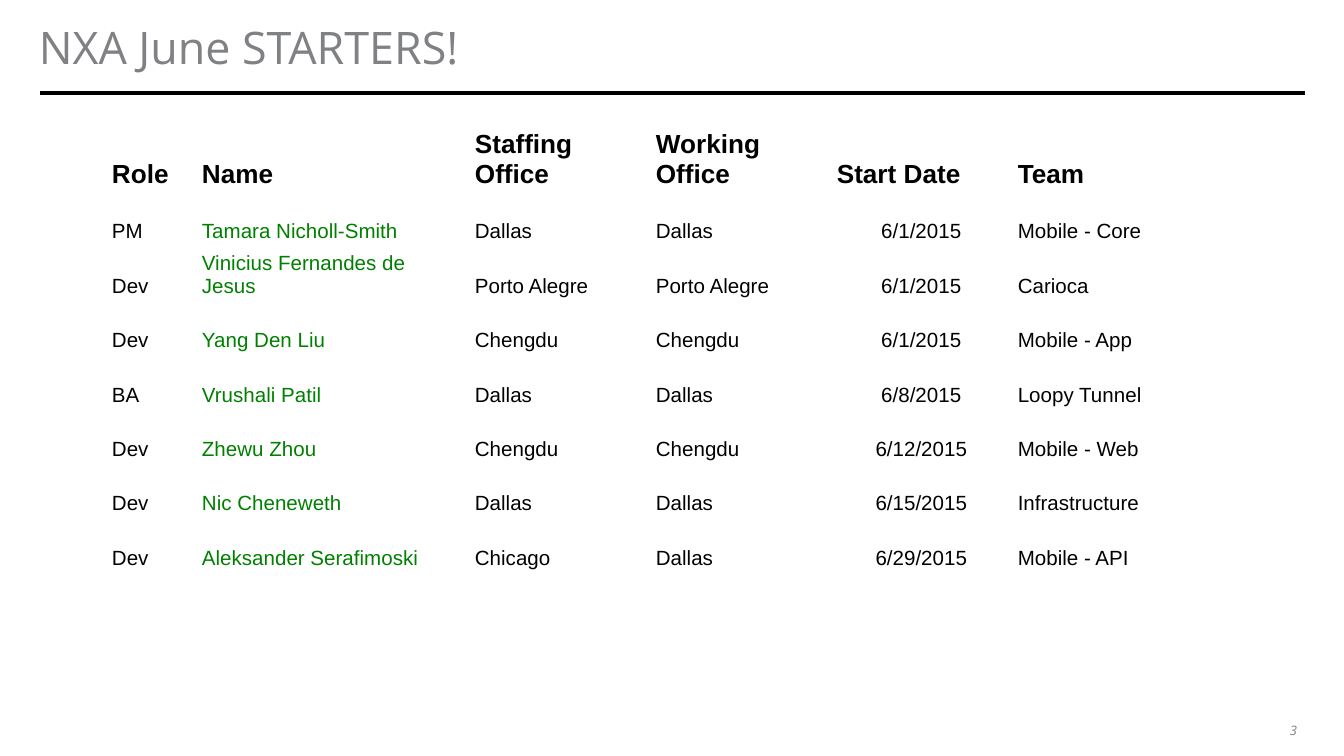
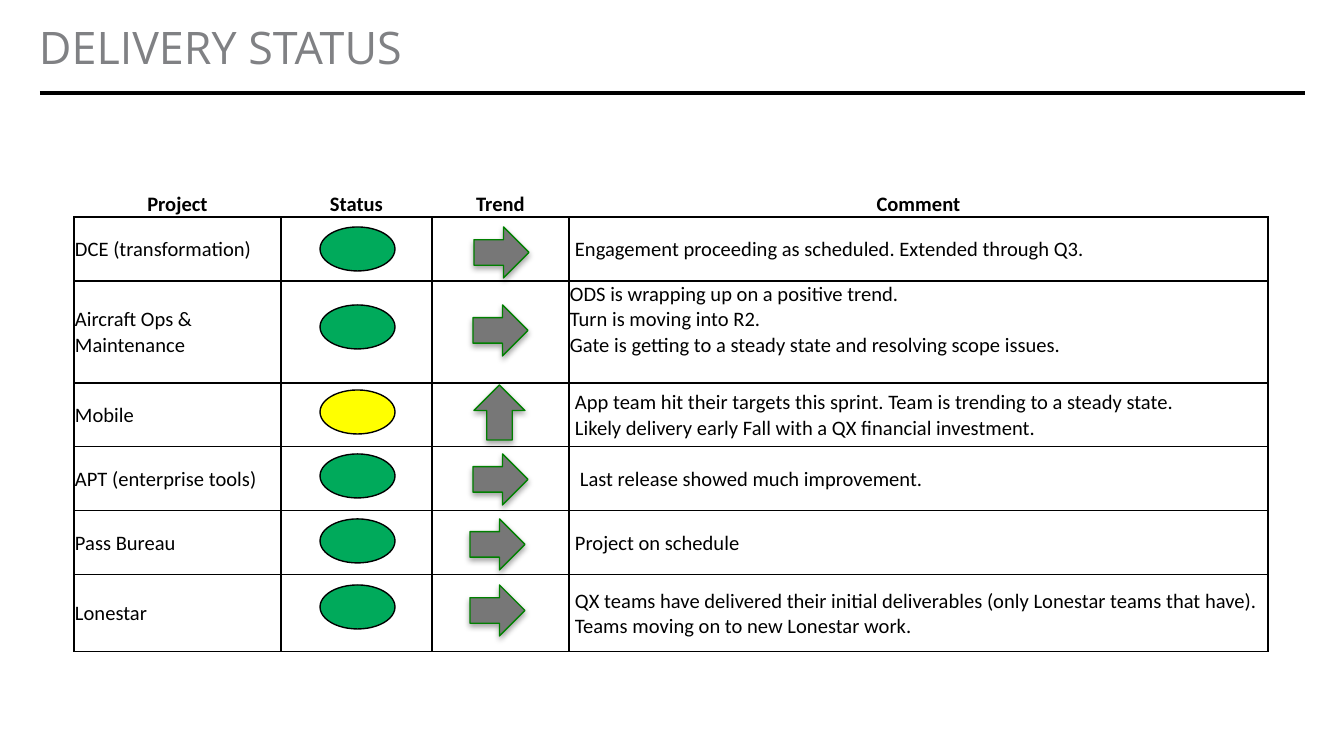
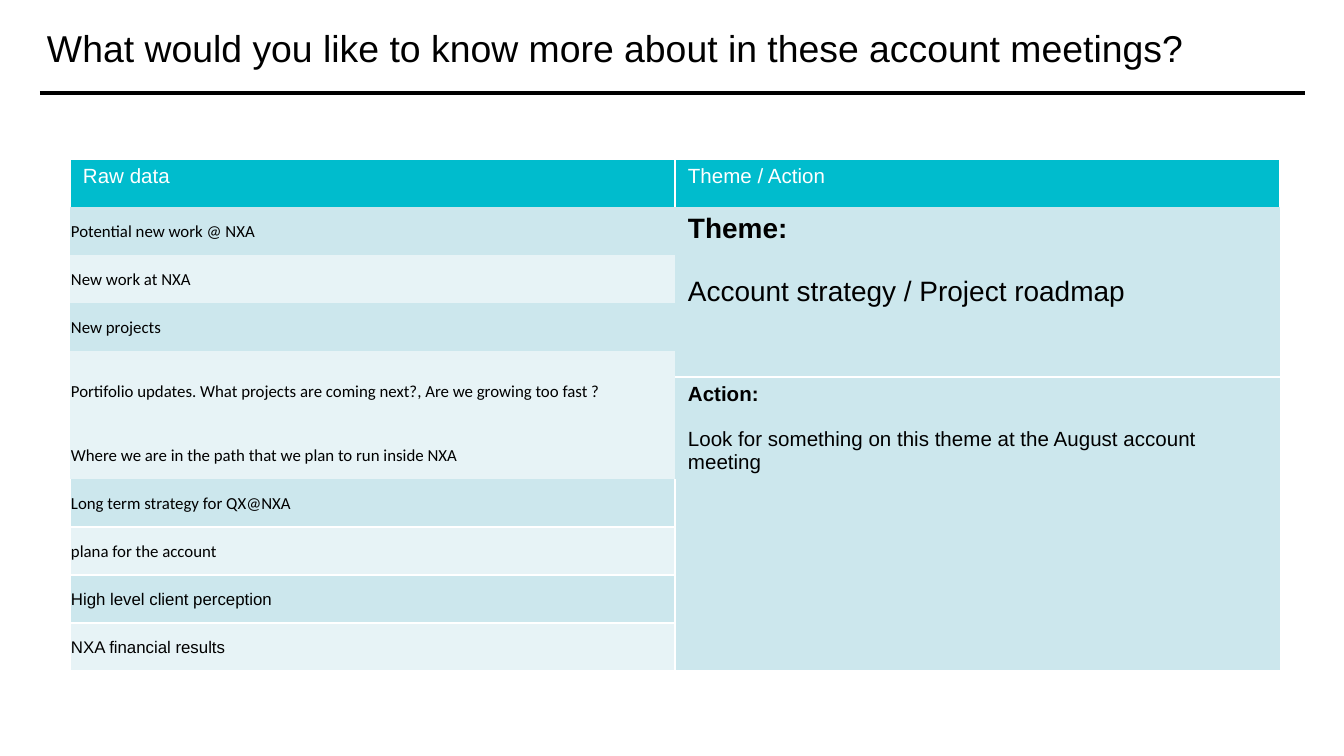
from lxml import etree
from pptx import Presentation
from pptx.dml.color import RGBColor
from pptx.enum.shapes import MSO_CONNECTOR, MSO_SHAPE
from pptx.enum.text import MSO_ANCHOR, PP_ALIGN
from pptx.oxml.ns import qn
from pptx.util import Emu, Pt

STRAIGHT = MSO_CONNECTOR.STRAIGHT
OVAL, ARROW = MSO_SHAPE.OVAL, MSO_SHAPE.RIGHT_ARROW
TOP, MIDDLE, BOTTOM = MSO_ANCHOR.TOP, MSO_ANCHOR.MIDDLE, MSO_ANCHOR.BOTTOM
LEFT, CENTER, RIGHT = PP_ALIGN.LEFT, PP_ALIGN.CENTER, PP_ALIGN.RIGHT

EMU_PER_PIXEL = 914400 / 134.4
PAGE_SIZE = (1344, 756)
TITLE_BOX = (39, 24, 1265, 56)
NUMBER_BOX = (1277, 718, 28, 23)
RULE = (40, 93, 1305, 93)
NO_STYLE = "{2D5ABB26-0587-4C30-8999-92F81FD0307C}"
COLORS = {
    "black": "000000", "white": "FFFFFF", "gray": "808184", "green": "008000",
    "arrow": "777777", "good": "00AA5B", "warning": "FFFF00",
    "header": "00BCCD", "dark_band": "CCE7ED", "light_band": "E7F3F6",
}

STARTERS_BOX = (106, 126, 1086, 490)
STARTERS_COLUMNS = (90, 273, 181, 181, 181, 180)
STARTERS_HEADER = ("Role", "Name", "Staffing Office", "Working Office", "Start Date", "Team")
STARTERS = (
    ("PM", "Tamara Nicholl-Smith", "Dallas", "Dallas", "6/1/2015", "Mobile - Core"),
    ("Dev", "Vinicius Fernandes de Jesus", "Porto Alegre", "Porto Alegre", "6/1/2015", "Carioca"),
    ("Dev", "Yang Den Liu", "Chengdu", "Chengdu", "6/1/2015", "Mobile - App"),
    ("BA", "Vrushali Patil", "Dallas", "Dallas", "6/8/2015", "Loopy Tunnel"),
    ("Dev", "Zhewu Zhou", "Chengdu", "Chengdu", "6/12/2015", "Mobile - Web"),
    ("Dev", "Nic Cheneweth", "Dallas", "Dallas", "6/15/2015", "Infrastructure"),
    ("Dev", "Aleksander Serafimoski", "Chicago", "Dallas", "6/29/2015", "Mobile - API"),
)

STATUS_BOX = (74, 153, 1194, 499)
STATUS_COLUMNS = (207, 151, 137, 699)
STATUS_ROWS = (64, 64, 102, 64, 64, 64, 77)
STATUS_HEADER = ("Project", "Status", "Trend", "Comment")
# Project, status colour, trend, marker top, arrow left, comment indent, comment lines
PROJECTS = (
    ("DCE (transformation)", "good", "steady", 74, 400, 6,
     ("Engagement proceeding as scheduled. Extended through Q3.",)),
    ("Aircraft Ops & Maintenance", "good", "steady", 152, 399, 1,
     ("ODS is wrapping up on a positive trend.",
      "Turn is moving into R2.",
      "Gate is getting to a steady state and resolving scope issues.")),
    ("Mobile", "warning", "up", 237, 398, 6,
     ("App team hit their targets this sprint. Team is trending to a steady state.",
      "Likely delivery early Fall with a QX financial investment.")),
    ("APT (enterprise tools)", "good", "steady", 301, 399, 11,
     ("Last release showed much improvement.",)),
    ("Pass Bureau", "good", "steady", 366, 396, 6,
     ("Project on schedule",)),
    ("Lonestar", "good", "steady", 432, 396, 6,
     ("QX teams have delivered their initial deliverables (only Lonestar teams that have). "
      "Teams moving on to new Lonestar work.",)),
)

TOPICS_BOX = (70, 159, 1210, 512)
TOPICS_ROWS = (48,) * 4 + (26, 54) + (48,) * 5
# Row, text, font, band, white edges
TOPICS = (
    (1, "Potential new work @ NXA", "Calibri", "dark_band", ""),
    (2, "New work at NXA", "Calibri", "light_band", ""),
    (3, "New projects", "Calibri", "dark_band", ""),
    (4, "Portifolio updates. What projects are coming next?, Are we growing too fast ?",
     "Calibri", "light_band", ""),
    (6, "Where we are in the path that we plan to run inside NXA", "Calibri", "light_band", ""),
    (7, "Long term strategy for QX@NXA", "Calibri", "dark_band", "LRB"),
    (8, "plana for the account", "Calibri", "light_band", "LRTB"),
    (9, "High level client perception", "Arial", "dark_band", "LRTB"),
    (10, "NXA financial results", "Arial", "light_band", "LRTB"),
)
# First row, last row, heading, body, size, gap above the body, white edges
FINDINGS = (
    (1, 4, "Theme:", "Account strategy / Project roadmap", 15, 17, "B"),
    (5, 10, "Action:", "Look for something on this theme at the August account meeting",
     11, 12, "TB"),
)


def px(length):
    """Turn pixels into EMU."""
    return Emu(round(length * EMU_PER_PIXEL))


def rgb(name):
    """Look up a palette colour."""
    return RGBColor.from_string(COLORS[name])


def write(frame, lines, size, font, color="black", bold=False, italic=False,
          align=LEFT, spacing=None):
    """Write lines as paragraphs of a text frame and format them."""
    frame.text = "\n".join(lines)
    for para in frame.paragraphs:
        para.alignment = align
        para.line_spacing = spacing
        for span in para.runs:
            span.font.size, span.font.name = Pt(size), font
            span.font.bold, span.font.italic = bold, italic
            span.font.color.rgb = rgb(color)


def set_margins(holder, left, top, right, bottom):
    """Set the four insets of a text frame or cell in pixels."""
    holder.margin_left, holder.margin_top = px(left), px(top)
    holder.margin_right, holder.margin_bottom = px(right), px(bottom)


def add_text(page, box, text, size, font, color, insets, anchor=TOP, **look):
    """Add a wrapped one-paragraph text box."""
    frame = page.shapes.add_textbox(*map(px, box)).text_frame
    frame.word_wrap = True
    frame.vertical_anchor = anchor
    set_margins(frame, *insets)
    write(frame, [text], size, font, color, **look)


def add_page(deck, title, size=24, font="Open Sans", color="gray", inset=0):
    """Add a page with the shared title and rule."""
    page = deck.slides.add_slide(deck.slide_layouts[6])
    rule = page.shapes.add_connector(STRAIGHT, *map(px, RULE))
    rule.line.color.rgb = rgb("black")
    rule.line.width = Pt(2)
    etree.SubElement(rule.element.spPr, qn("a:effectLst"))
    add_text(page, TITLE_BOX, title, size, font, color, (inset,) * 4, MIDDLE, spacing=0.75)
    return page


def add_plain_table(page, box, columns, rows):
    """Add a table without style, with the given column widths and row heights."""
    frame = page.shapes.add_table(len(rows), len(columns), *map(px, box))
    next(frame.element.iter(qn("a:tableStyleId"))).text = NO_STYLE
    table = frame.table
    table.first_row = table.horz_banding = False
    for column, width in zip(table.columns, columns):
        column.width = px(width)
    for row, height in zip(table.rows, rows):
        row.height = px(height)
    return table


def dress(cell, insets, anchor=TOP, fill=None, edges="", edge_color="black", edge_width=0.75):
    """Set a cell's insets, anchor, edges (from L, R, T, B) and fill."""
    set_margins(cell, *insets)
    cell.vertical_anchor = anchor
    properties = cell._tc.get_or_add_tcPr()
    for edge in edges:
        line = etree.SubElement(properties, qn("a:ln" + edge), w=str(int(Pt(edge_width))))
        solid = etree.SubElement(line, qn("a:solidFill"))
        etree.SubElement(solid, qn("a:srgbClr"), val=COLORS[edge_color])
    if fill:
        cell.fill.solid()
        cell.fill.fore_color.rgb = rgb(fill)
    else:
        cell.fill.background()


def add_starters(page, box):
    """Place the list of new starters, with one spare row at the end."""
    count = len(STARTERS) + 2
    table = add_plain_table(page, box, STARTERS_COLUMNS, [box[3] / count] * count)
    for cell in table.iter_cells():
        dress(cell, (6, 0, 6, 0), BOTTOM)
    for column, heading in enumerate(STARTERS_HEADER):
        write(table.cell(0, column).text_frame, [heading], 14, "Arial", bold=True)
    for row, starter in enumerate(STARTERS, 1):
        for column, value in enumerate(starter):
            heading = STARTERS_HEADER[column]
            write(table.cell(row, column).text_frame, [value], 11, "Arial",
                  "green" if heading == "Name" else "black",
                  align=CENTER if heading == "Start Date" else LEFT)


def add_marker(page, kind, box, fill, line):
    """Add a filled and outlined preset shape."""
    marker = page.shapes.add_shape(kind, *map(px, box))
    marker.shadow.inherit = False
    marker.fill.solid()
    marker.fill.fore_color.rgb = rgb(fill)
    marker.line.color.rgb = rgb(line)
    marker.line.width = Pt(0.75)
    return marker


def add_trend(page, left, top, trend):
    """Place a trend arrow with a soft shadow below it."""
    rising = trend == "up"
    arrow = add_marker(page, ARROW, (left, top - 3 * rising, 55, 51), "arrow", "green")
    arrow.rotation = 270 if rising else 0
    effects = arrow.element.spPr.find(qn("a:effectLst"))
    shadow = etree.SubElement(effects, qn("a:outerShdw"), blurRad=str(int(Pt(3.1))),
                              dist=str(int(Pt(1.8))), dir="5400000", rotWithShape="0")
    tint = etree.SubElement(shadow, qn("a:srgbClr"), val=COLORS["black"])
    etree.SubElement(tint, qn("a:alpha"), val="35000")


def add_status(page, box):
    """Place the project table with its status ovals and trend arrows."""
    left, top = box[:2]
    table = add_plain_table(page, box, STATUS_COLUMNS, STATUS_ROWS)
    for column, heading in enumerate(STATUS_HEADER):
        cell = table.cell(0, column)
        dress(cell, (1, 1, 1, 0), BOTTOM, edges="B")
        write(cell.text_frame, [heading], 11, "Calibri", bold=True, align=CENTER)
    for row, project in enumerate(PROJECTS, 1):
        name, status, trend, marker_top, arrow_left, indent, comment = project
        for column in range(len(STATUS_COLUMNS)):
            dress(table.cell(row, column), (1, 1, 1, 0), MIDDLE, edges="LRTB")
        write(table.cell(row, 0).text_frame, [name], 11, "Calibri")
        note = table.cell(row, 3)
        note.margin_left = px(indent)
        if len(comment) == 3:
            note.margin_bottom = px(25)
        write(note.text_frame, comment, 11, "Calibri")
        add_marker(page, OVAL, (left + 246, top + marker_top, 75, 44), status, "black")
        add_trend(page, left + arrow_left, top + marker_top, trend)


def add_topics(page, box):
    """Place the raw answers beside the theme and action drawn from them."""
    table = add_plain_table(page, box, [box[2] / 2] * 2, TOPICS_ROWS)
    wide = (13, 6, 13, 6)
    white = {"edge_color": "white", "edge_width": 1}
    for column, heading in enumerate(("Raw data", "Theme / Action")):
        cell = table.cell(0, column)
        dress(cell, wide, fill="header", edges="LRT", **white)
        write(cell.text_frame, [heading], 11, "Arial", "white")
    table.cell(4, 0).merge(table.cell(5, 0))
    for row, text, font, band, edges in TOPICS:
        cell = table.cell(row, 0)
        dress(cell, (1, 1, 1, 0), MIDDLE, band, edges, **white)
        write(cell.text_frame, [text], 9, font)
    for first, last, heading, body, size, gap, edges in FINDINGS:
        cell = table.cell(first, 1)
        cell.merge(table.cell(last, 1))
        dress(cell, wide, fill="dark_band", edges=edges, **white)
        write(cell.text_frame, [heading, body], size, "Arial")
        title, detail = cell.text_frame.paragraphs
        title.runs[0].font.bold = True
        detail.space_before = Pt(gap)


def main():
    """Build and save the deck."""
    deck = Presentation()
    deck.slide_width, deck.slide_height = map(px, PAGE_SIZE)

    page = add_page(deck, "NXA June STARTERS!")
    add_text(page, NUMBER_BOX, "3", 7, "Open Sans", "gray", (8, 4, 8, 4),
             italic=True, align=RIGHT)
    add_starters(page, STARTERS_BOX)

    add_status(add_page(deck, "DELIVERY STATUS"), STATUS_BOX)

    question = "What would you like to know more about in these account meetings?"
    add_topics(add_page(deck, question, 20, "Arial", "black", inset=8), TOPICS_BOX)

    deck.save("out.pptx")


main()
